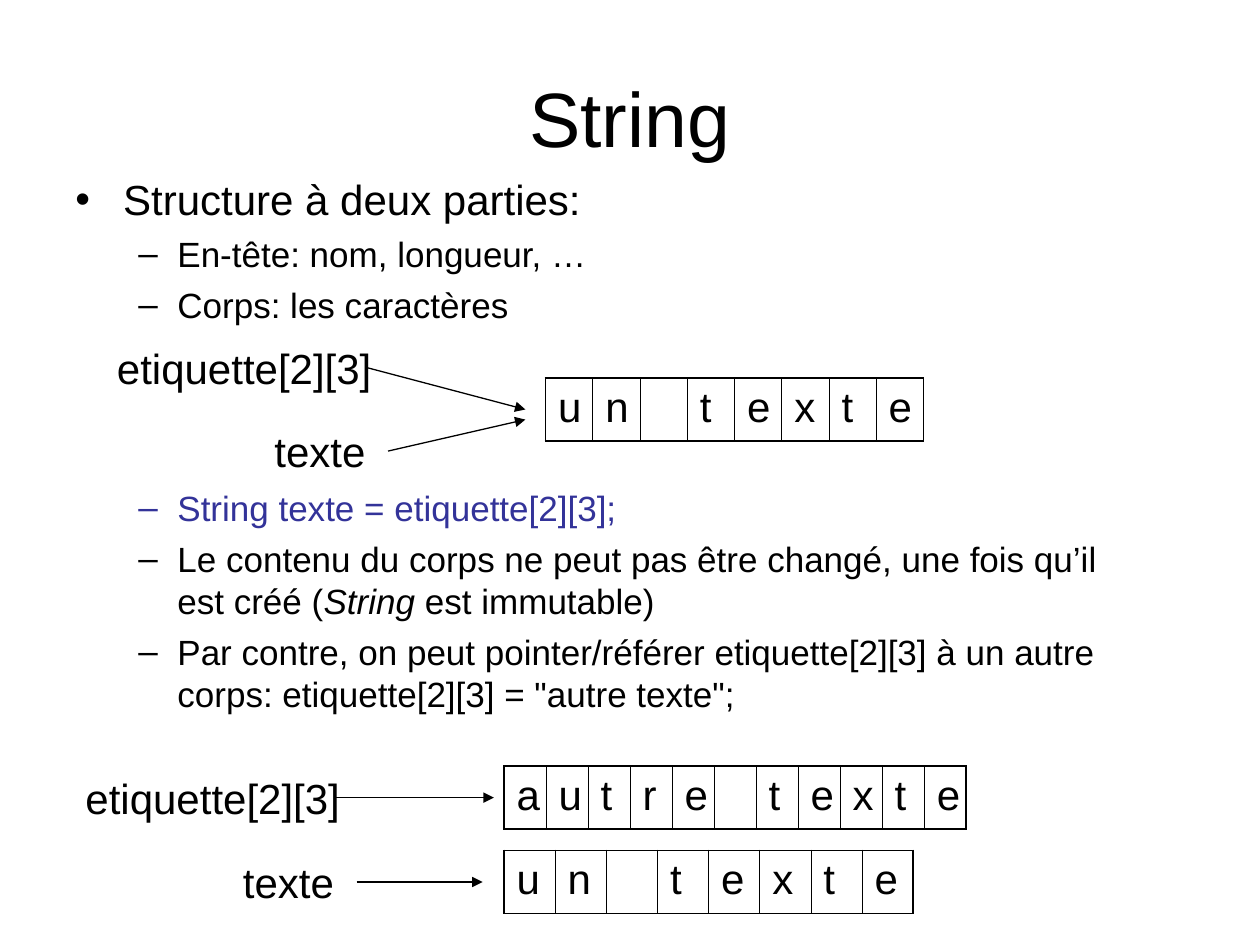
from lxml import etree
from pptx import Presentation
from pptx import util as u
from pptx.dml.color import RGBColor
from pptx.enum import shapes, text
from pptx.oxml import ns

COLORS = {"ink": "000000", "code": "333399"}
FONT = "Arial"

# Bullet levels: (mark, left margin, hanging indent, text size)
LEVELS = [("•", 0.38, 0.38, 24), ("–", 0.81, 0.31, 20)]

# Body paragraphs: (level, space before, colour, runs as (text, italic))
BODY = [
    (0, 0, "ink", [("Structure à deux parties:", False)]),
    (1, 5, "ink", [("En-tête: nom, longueur, …", False)]),
    (1, 5, "ink", [("Corps: les caractères", False)]),
    # wide gap leaves room for the first diagram
    (1, 92, "code", [("String texte = etiquette[2][3];", False)]),
    (1, 5, "ink", [("Le contenu du corps ne peut pas être changé, une fois qu’il est créé (", False),
                   ("String", True), (" est immutable)", False)]),
    (1, 5, "ink", [("Par contre, on peut pointer/référer etiquette[2][3] à un autre corps: "
                    "etiquette[2][3] = \"autre texte\";", False)]),
]

# Variable labels: (text, left, top, width)
LABELS = [
    ("etiquette[2][3]", 0.83, 2.67, 2.58),
    ("texte", 2.08, 3.33, 2.17),
    ("etiquette[2][3]", 0.58, 6.08, 2.58),
    ("texte", 1.83, 6.75, 2.17),
]

# Character arrays: (characters, left, top, width)
ARRAYS = [
    ("un texte", 4.33, 3, 3),
    ("autre texte", 4, 6.08, 3.67),
    ("un texte", 4, 6.75, 3.25),
]

# References: (start x, start y, end x, end y)
ARROWS = [
    (2.92, 2.92, 4.17, 3.25),
    (3.08, 3.58, 4.17, 3.33),
    (2.67, 6.33, 3.92, 6.33),
    (2.83, 7, 3.83, 7),
]


def color(name):
    return RGBColor.from_string(COLORS[name])


def style(font, size, name="ink"):
    font.name = FONT
    font.size = u.Pt(size)
    font.color.rgb = color(name)


def add_child(parent, tag, **attributes):
    return etree.SubElement(parent, ns.qn(tag), attributes)


def add_text(page, words, left, top, width, height, size):
    box = page.shapes.add_textbox(*map(u.Inches, (left, top, width, height)))
    frame = box.text_frame
    frame.word_wrap = True
    frame.text = words
    for span in frame.paragraphs[0].runs:
        style(span.font, size)
    return frame


def set_bullet(para, level, name):
    mark, margin, hanging, _ = LEVELS[level]
    para.level = level
    properties = para._p.get_or_add_pPr()
    properties.set("marL", str(u.Inches(margin)))
    properties.set("indent", str(-u.Inches(hanging)))
    add_child(add_child(properties, "a:buClr"), "a:srgbClr", val=COLORS[name])
    add_child(properties, "a:buFont", typeface=FONT)
    add_child(properties, "a:buChar", char=mark)


def add_body(page):
    frame = add_text(page, "", 0.5, 1.33, 8.5, 5.28, 24)
    for index, (level, gap, name, spans) in enumerate(BODY):
        para = frame.add_paragraph() if index else frame.paragraphs[0]
        para.space_before = u.Pt(gap)
        set_bullet(para, level, name)
        for words, italic in spans:
            span = para.add_run()
            span.text = words
            style(span.font, LEVELS[level][3], name)
            span.font.italic = italic


def set_borders(cell, widths):
    properties = cell._tc.get_or_add_tcPr()
    for position, (side, width) in enumerate(widths.items()):
        line = etree.Element(ns.qn("a:ln" + side), w=str(u.Pt(width)))
        add_child(add_child(line, "a:solidFill"), "a:srgbClr", val=COLORS["ink"])
        properties.insert(position, line)


def add_array(page, characters, left, top, width):
    count = len(characters)
    frame = page.shapes.add_table(1, count, *map(u.Inches, (left, top, width, 0.5)))
    table = frame.table
    table.first_row = table.horz_banding = False
    for index, character in enumerate(characters):
        table.columns[index].width = u.Inches(width / count)
        cell = table.cell(0, index)
        cell.text = character.strip()
        style(cell.text_frame.paragraphs[0].font, 24)
        for span in cell.text_frame.paragraphs[0].runs:
            style(span.font, 24)
        cell.fill.background()
        set_borders(cell, {
            "L": 1.08 if index == 0 else 0.45,
            "R": 1.08 if index == count - 1 else 0.45,
            "T": 1.08,
            "B": 1.08,
        })


def add_arrow(page, *ends):
    arrow = page.shapes.add_connector(shapes.MSO_CONNECTOR.STRAIGHT, *map(u.Inches, ends))
    arrow.line.color.rgb = color("ink")
    arrow.line.width = u.Pt(0.75)
    add_child(arrow.line._get_or_add_ln(), "a:tailEnd", type="triangle")
    add_child(arrow._element.spPr, "a:effectLst")


def main():
    deck = Presentation()
    deck.slide_width, deck.slide_height = u.Inches(10), u.Inches(7.5)
    page = deck.slides.add_slide(deck.slide_layouts[6])

    # Title and bullets
    title = add_text(page, "String", 0.5, 0.3, 9, 1.25, 44)
    title.vertical_anchor = text.MSO_ANCHOR.MIDDLE
    title.paragraphs[0].alignment = text.PP_ALIGN.CENTER
    add_body(page)

    # Diagrams: variables pointing to their character arrays
    for array in ARRAYS:
        add_array(page, *array)
    for words, left, top, width in LABELS:
        add_text(page, words, left, top, width, 0.5, 24)
    for ends in ARROWS:
        add_arrow(page, *ends)

    deck.save("out.pptx")


if __name__ == "__main__":
    main()
